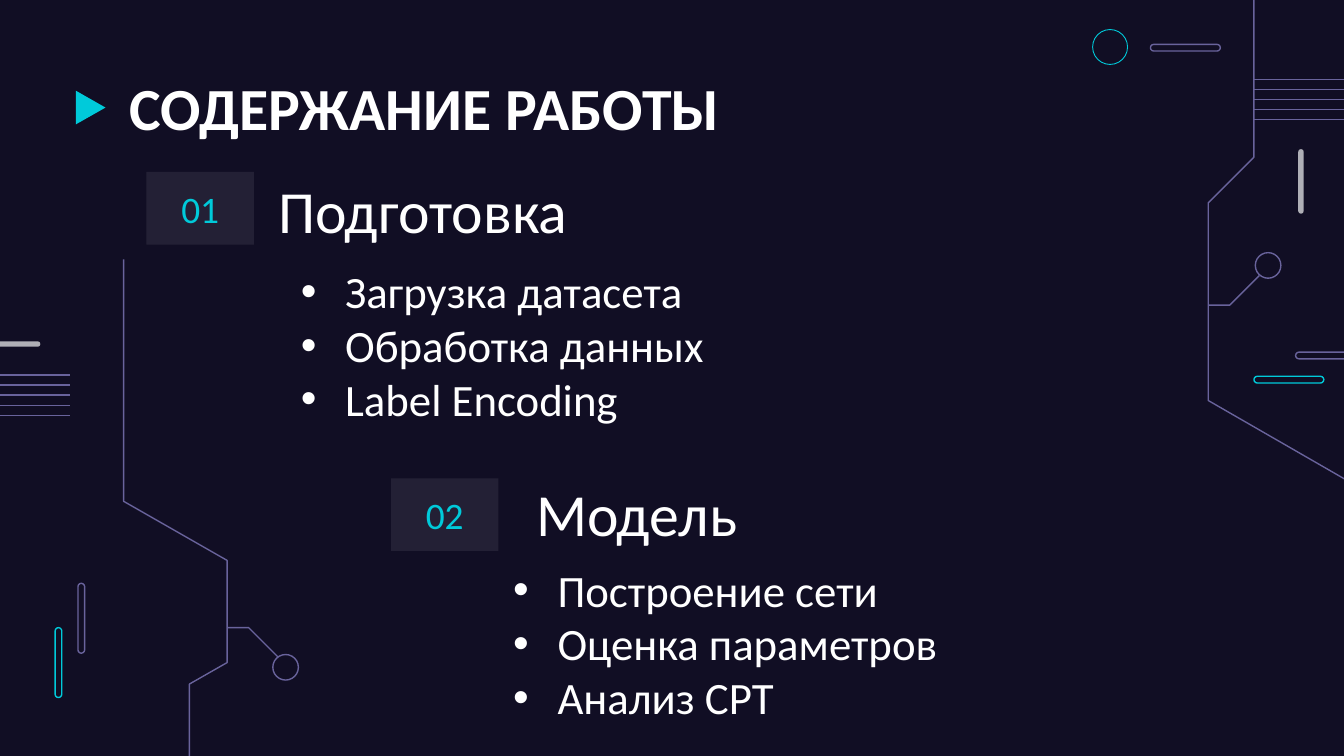
import pptx
import pptx.dml.color
import pptx.enum.shapes
import pptx.enum.text
import pptx.oxml.ns
import pptx.util
from lxml import etree
from pptx.util import Inches

COLORS = {
    "background": "110E24",
    "white": "FFFFFF",
    "cyan": "00CADA",
    "violet": "69639C",
    "gray": "AFAFB6",
}
SHAPES = pptx.enum.shapes.MSO_SHAPE
ANCHOR = pptx.enum.text.MSO_ANCHOR
ALIGN = pptx.enum.text.PP_ALIGN


def color(name):
    """Return the named colour as an RGB value."""
    return pptx.dml.color.RGBColor.from_string(COLORS[name])


def add_child(parent, tag, **attributes):
    """Append a DrawingML element to a parent element."""
    return etree.SubElement(parent, pptx.oxml.ns.qn(tag), **attributes)


def style_shape(shape, fill=None, line=None, width=0.75):
    """Give a shape a plain fill and outline without shadow."""
    shape.shadow.inherit = False
    if fill:
        shape.fill.solid()
        shape.fill.fore_color.rgb = color(fill)
    else:
        shape.fill.background()
    if line:
        shape.line.color.rgb = color(line)
        shape.line.width = pptx.util.Pt(width)
    else:
        shape.line.fill.background()


def add_shape(slide, kind, area, **style):
    """Add a styled preset shape."""
    shape = slide.shapes.add_shape(kind, *map(Inches, area))
    style_shape(shape, **style)
    return shape


def add_capsule(slide, area, **style):
    """Add a bar with fully rounded ends."""
    add_shape(slide, SHAPES.ROUNDED_RECTANGLE, area, **style).adjustments[0] = 0.5


def add_trace(slide, points):
    """Add an open circuit trace through the given points."""
    corners = [(Inches(x), Inches(y)) for x, y in points]
    builder = slide.shapes.build_freeform(*corners[0])
    builder.add_line_segments(corners[1:], close=False)
    style_shape(builder.convert_to_shape(), line="violet")


def add_stripes(slide, start, end, top):
    """Add five evenly spaced horizontal lines."""
    for index in range(5):
        y = Inches(top + 0.3 * index / 4)
        stripe = slide.shapes.add_connector(
            pptx.enum.shapes.MSO_CONNECTOR.STRAIGHT, Inches(start), y, Inches(end), y)
        stripe.line.color.rgb = color("violet")
        stripe.line.width = pptx.util.Pt(0.75)
        add_child(stripe._element.spPr, "a:effectLst")


def write(shape, lines, size, ink="white", bold=False, inset=0.1,
          anchor=ANCHOR.MIDDLE, align=ALIGN.LEFT):
    """Fill a shape with formatted lines of text."""
    frame = shape.text_frame
    frame.word_wrap = True
    frame.auto_size = pptx.enum.text.MSO_AUTO_SIZE.NONE
    frame.vertical_anchor = anchor
    frame.margin_left = frame.margin_right = Inches(0.1)
    frame.margin_top = frame.margin_bottom = Inches(inset)
    frame.text = "\n".join(lines)
    for para in frame.paragraphs:
        para.alignment = align
        for span in para.runs:
            span.font.name = "Calibri"
            span.font.size = pptx.util.Pt(size)
            span.font.bold = bold
            span.font.color.rgb = color(ink)


def add_text(slide, area, lines, size, **style):
    """Add a text box."""
    box = slide.shapes.add_textbox(*map(Inches, area))
    write(box, lines, size, **style)
    return box


def add_bullets(slide, area, lines):
    """Add a bulleted list."""
    box = add_text(slide, area, lines, 24)
    for para in box.text_frame.paragraphs:
        properties = para._p.get_or_add_pPr()
        properties.set("marL", str(Inches(0.5)))
        properties.set("indent", str(Inches(-0.33)))
        bullet_color = add_child(properties, "a:buClr")
        add_child(bullet_color, "a:srgbClr", val=COLORS["white"])
        add_child(properties, "a:buFont", typeface="Arial")
        add_child(properties, "a:buChar", char="•")


def add_number(slide, left, top, number):
    """Add a section number on a translucent tile."""
    tile = add_shape(slide, SHAPES.RECTANGLE, (left, top, 0.8, 0.54), fill="white")
    fill_color = tile._element.spPr.find(".//" + pptx.oxml.ns.qn("a:srgbClr"))
    add_child(fill_color, "a:alpha", val="8000")
    write(tile, [number], 20, ink="cyan", align=ALIGN.CENTER)


def add_title(slide, text):
    """Place the title and its triangular marker."""
    marker = add_shape(slide, SHAPES.FLOWCHART_MERGE, (0.55, 0.69, 0.25, 0.22), fill="cyan")
    marker.rotation = 270
    title = slide.shapes.title
    title.left, title.top, title.width, title.height = map(Inches, (0.86, 0.43, 4.84, 0.63))
    write(title, [text], 32, bold=True, anchor=ANCHOR.TOP)


def add_decoration(slide):
    """Draw the circuit pattern around the content."""
    for left, top, width, height, line in (
        (0.41, 4.67, 0.05, 0.52, "cyan"),
        (0.58, 4.34, 0.05, 0.52, "violet"),
        (9.33, 2.8, 0.52, 0.05, "cyan"),
        (9.64, 2.62, 0.52, 0.05, "violet"),
        (8.56, 0.33, 0.52, 0.05, "violet"),
    ):
        add_capsule(slide, (left, top, width, height), line=line)
    for area in ((9.66, 1.11, 0.04, 0.48), (-0.18, 2.54, 0.48, 0.04)):
        add_capsule(slide, area, fill="gray")
    add_shape(slide, SHAPES.OVAL, (8.13, 0.22, 0.26, 0.26), line="cyan", width=0.47)
    for left, top in ((9.34, 1.88), (2.03, 4.87)):
        add_shape(slide, SHAPES.OVAL, (left, top, 0.19, 0.19), line="violet")
    for points in (
        ((9.37, 2.05), (9.15, 2.27), (8.99, 2.27)),
        ((10.12, 3.63), (8.99, 2.98), (8.99, 1.51), (9.33, 1.17), (9.33, -0.06)),
        ((2.07, 4.89), (1.85, 4.67), (1.69, 4.67)),
        ((0.92, 1.93), (0.92, 3.73), (1.69, 4.17), (1.69, 4.93), (1.41, 5.09), (1.41, 5.72)),
    ):
        add_trace(slide, points)
    add_stripes(slide, 9.33, 10.8, 0.59)
    add_stripes(slide, 0.52, -0.61, 2.79)


def main():
    """Build and save the contents slide."""
    deck = pptx.Presentation()
    deck.slide_width, deck.slide_height = Inches(10), Inches(10 * 9 / 16)
    page = deck.slides.add_slide(deck.slide_layouts[5])
    page.background.fill.solid()
    page.background.fill.fore_color.rgb = color("background")
    add_decoration(page)
    add_title(page, "СОДЕРЖАНИЕ РАБОТЫ")
    add_number(page, 1.09, 1.28, "01")
    add_text(page, (1.97, 1.29, 3.49, 0.54), ["Подготовка"], 32)
    add_bullets(page, (1.97, 1.92, 4.02, 1.29),
                ["Загрузка датасета", "Обработка данных", "Label Encoding"])
    add_number(page, 2.91, 3.56, "02")
    add_text(page, (3.89, 3.5, 5.93, 0.64), ["Модель"], 32, inset=0.05, anchor=ANCHOR.TOP)
    add_bullets(page, (3.55, 4.2, 4.29, 1.17),
                ["Построение сети", "Оценка параметров", "Анализ CPT"])
    deck.save("out.pptx")


if __name__ == "__main__":
    main()
